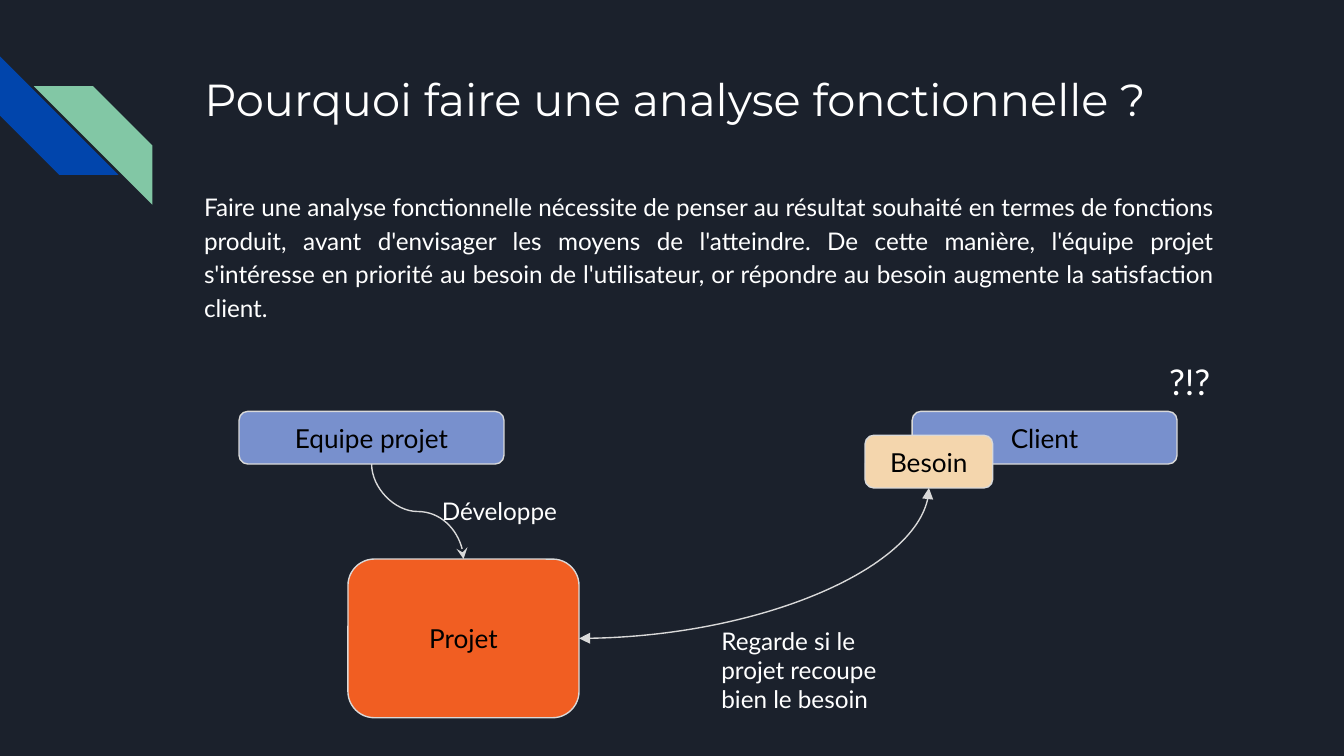
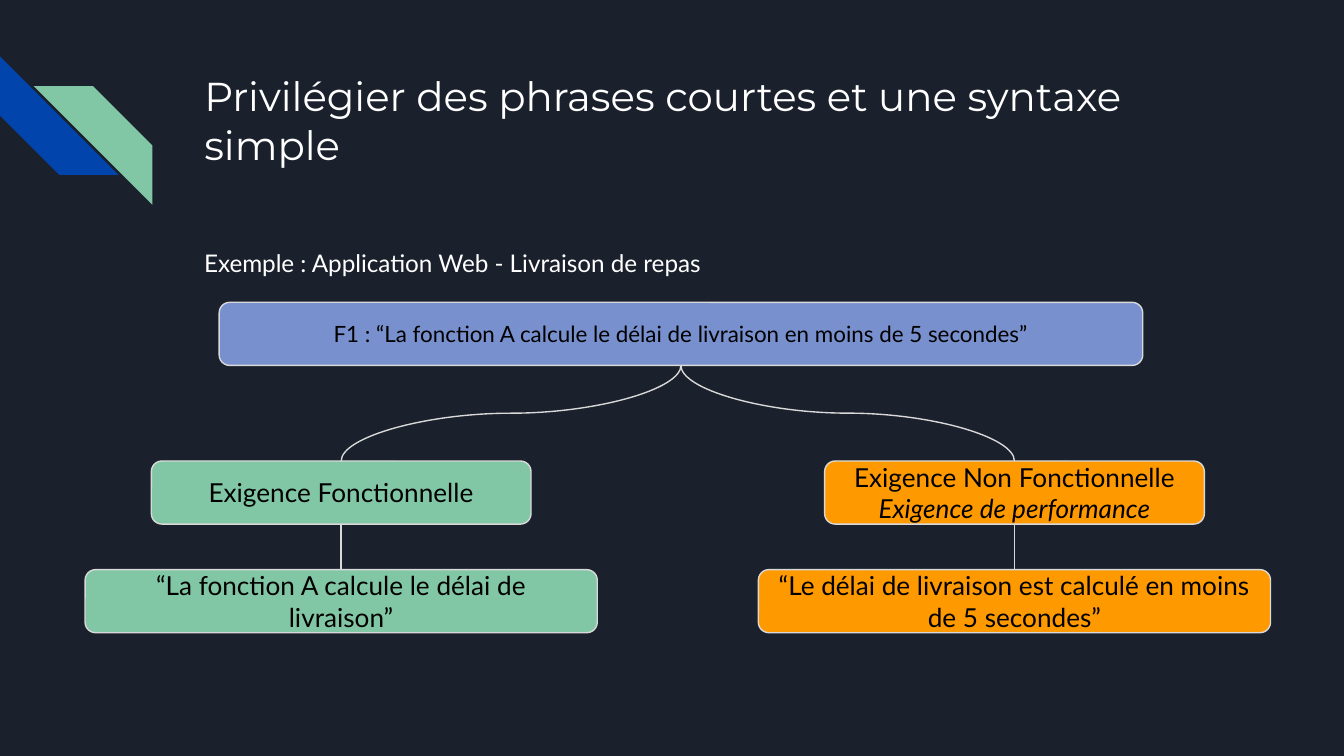
"""Build two slides on functional analysis: why to do it and how to phrase it."""
from lxml import etree
from pptx import Presentation
from pptx.dml.color import RGBColor
from pptx.enum.shapes import MSO_CONNECTOR, MSO_SHAPE
from pptx.enum.text import MSO_ANCHOR, MSO_AUTO_SIZE, PP_ALIGN
from pptx.oxml.ns import qn
from pptx.util import Pt

STRAIGHT, CURVE = MSO_CONNECTOR.STRAIGHT, MSO_CONNECTOR.CURVE
ROUNDED, STRIPE = MSO_SHAPE.ROUNDED_RECTANGLE, MSO_SHAPE.DIAGONAL_STRIPE
TOP, MIDDLE = MSO_ANCHOR.TOP, MSO_ANCHOR.MIDDLE
LEFT, CENTER, JUSTIFY = PP_ALIGN.LEFT, PP_ALIGN.CENTER, PP_ALIGN.JUSTIFY
NO_FIT = MSO_AUTO_SIZE.NONE

NIGHT = RGBColor(0x1B, 0x21, 0x2C)
WHITE = RGBColor(0xFF, 0xFF, 0xFF)
BLACK = RGBColor(0x00, 0x00, 0x00)
GREY = RGBColor(0xD9, 0xD9, 0xD9)
BLUE = RGBColor(0x01, 0x45, 0xAC)
GREEN = RGBColor(0x82, 0xC7, 0xA5)
PERIWINKLE = RGBColor(0x78, 0x90, 0xCD)
SAND = RGBColor(0xF4, 0xD6, 0xAD)
RED_ORANGE = RGBColor(0xF1, 0x5E, 0x22)
ORANGE = RGBColor(0xFF, 0x99, 0x00)

TITLE_FONT, BODY_FONT = "Montserrat", "Lato"
INSET, LINE_WIDTH = 7.2, 0.75
TEXT_LEFT, TEXT_WIDTH = 102.25, 554.5
STRIPE_SIZE = 63.5
BOTTOM_SITE, TOP_SITE = 2, 0

WHY_TITLE = "Pourquoi faire une analyse fonctionnelle ?"
WHY_BODY = (
    "Faire une analyse fonctionnelle nécessite de penser au résultat souhaité en termes "
    "de fonctions produit, avant d'envisager les moyens de l'atteindre. De cette manière, "
    "l'équipe projet s'intéresse en priorité au besoin de l'utilisateur, or répondre au "
    "besoin augmente la satisfaction client."
)
ACTORS = {
    "Equipe projet": (128.1, 220.4, 141.9, 28.2, PERIWINKLE),
    "Client": (488.7, 220.4, 141.9, 28.2, PERIWINKLE),
    "Besoin": (463.4, 233.2, 68.4, 28.2, SAND),
    "Projet": (186.4, 299.5, 123.8, 85, RED_ORANGE),
}
REMARKS = [
    ("Développe", (229.6, 258.5, 109.4, 17.3), 13),
    ("Regarde si le projet recoupe bien le besoin", (379.4, 328.3, 109.4, 62), 13),
    ("?!?", (619.2, 185.8, 49, 33.8), 19),
]

SYNTAX_TITLE = "Privilégier des phrases courtes et une syntaxe simple"
SYNTAX_BODY = "Exemple : Application Web - Livraison de repas"
FUNCTION = "F1 : “La fonction A calcule le délai de livraison en moins de 5 secondes”"
REQUIREMENTS = [
    (182.8, GREEN, "Exigence Fonctionnelle", "“La fonction A calcule le délai de livraison”"),
    (543.5, ORANGE, "Exigence Non Fonctionnelle\nExigence de performance",
     "“Le délai de livraison est calculé en moins de 5 secondes”"),
]
ROW_HEIGHT = 33.8
KIND_TOP, KIND_WIDTH = 247, 203.4
PHRASE_TOP, PHRASE_WIDTH = 305.2, 274.4


def write(shape, text, size, color, align=LEFT, anchor=TOP, font=BODY_FONT):
    frame = shape.text_frame
    frame.text = text
    frame.word_wrap = True
    frame.auto_size = NO_FIT
    frame.vertical_anchor = anchor
    frame.margin_left = frame.margin_right = Pt(INSET)
    frame.margin_top = frame.margin_bottom = Pt(INSET)
    for paragraph in frame.paragraphs:
        paragraph.alignment = align
        for run in paragraph.runs:
            run.font.size = Pt(size)
            run.font.name = font
            run.font.color.rgb = color


def add_text(slide, text, area, size, align=LEFT):
    label = slide.shapes.add_textbox(*map(Pt, area))
    write(label, text, size, WHITE, align)
    return label


def add_body(slide, text, top, height, align=LEFT):
    body = add_text(slide, text, (TEXT_LEFT, top, TEXT_WIDTH, height), 13, align)
    body.text_frame.paragraphs[0].line_spacing = 1.15
    body.text_frame.paragraphs[0].space_after = Pt(12)


def add_box(slide, text, left, top, width, height, fill, size=14):
    box = slide.shapes.add_shape(ROUNDED, *map(Pt, (left, top, width, height)))
    box.shadow.inherit = False
    box.fill.solid()
    box.fill.fore_color.rgb = fill
    box.line.color.rgb = GREY
    box.line.width = Pt(LINE_WIDTH)
    write(box, text, size, BLACK, CENTER, MIDDLE)
    return box


def add_stripe(slide, left, top, fill):
    stripe = slide.shapes.add_shape(STRIPE, *map(Pt, (left, top, STRIPE_SIZE, STRIPE_SIZE)))
    stripe.shadow.inherit = False
    stripe.fill.solid()
    stripe.fill.fore_color.rgb = fill
    stripe.line.fill.background()
    return stripe


def add_line(slide, kind, start, end, head=None, tail=None):
    link = slide.shapes.add_connector(kind, *map(Pt, (*start, *end)))
    link.line.color.rgb = GREY
    link.line.width = Pt(LINE_WIDTH)
    outline = link.line._get_or_add_ln()
    for tag, arrow in (("a:headEnd", head), ("a:tailEnd", tail)):
        if arrow:
            etree.SubElement(outline, qn(tag)).set("type", arrow)
    etree.SubElement(link._element.spPr, qn("a:effectLst"))
    return link


def add_curve(slide, start, end, rotation, **arrows):
    (x1, y1), (x2, y2) = start, end
    middle_x, middle_y = (x1 + x2) / 2, (y1 + y2) / 2
    dx, dy = x1 - middle_x, y1 - middle_y
    dx, dy = {90: (dy, -dx), 180: (-dx, -dy), 270: (-dy, dx)}[rotation]
    curve = add_line(slide, CURVE, (middle_x + dx, middle_y + dy),
                     (middle_x - dx, middle_y - dy), **arrows)
    curve._element.spPr.find(qn("a:xfrm")).set("rot", str(rotation * 60000))
    return curve


def side_middles(area):
    left, top, width, height = area[:4]
    return {
        "top": (left + width / 2, top),
        "bottom": (left + width / 2, top + height),
        "right": (left + width, top + height / 2),
    }


def add_slide(prs, title, size):
    slide = prs.slides.add_slide(prs.slide_layouts[5])
    add_stripe(slide, 0, 30.2, BLUE).rotation = 270
    mirrored = add_stripe(slide, 18.2, 46.2, GREEN)
    mirrored._element.spPr.find(qn("a:xfrm")).set("flipH", "1")
    heading = slide.shapes.title
    heading.left, heading.top = Pt(TEXT_LEFT), Pt(31)
    heading.width, heading.height = Pt(TEXT_WIDTH), Pt(72)
    write(heading, title, size, WHITE, font=TITLE_FONT)
    return slide


def build_why(prs):
    slide = add_slide(prs, WHY_TITLE, 24)
    add_body(slide, WHY_BODY, 93.6, 90.7, JUSTIFY)
    for name, area in ACTORS.items():
        add_box(slide, name, *area)
    team, need, project = (side_middles(ACTORS[name])
                           for name in ("Equipe projet", "Besoin", "Projet"))
    add_curve(slide, team["bottom"], project["top"], 270, tail="stealth")
    check = add_curve(slide, project["right"], need["bottom"], 180,
                      head="triangle", tail="triangle")
    check._element.spPr.find(qn("a:prstGeom")).set("prst", "curvedConnector2")
    for text, area, size in REMARKS:
        add_text(slide, text, area, size)


def build_syntax(prs):
    slide = add_slide(prs, SYNTAX_TITLE, 21.6)
    add_body(slide, SYNTAX_BODY, 123.3, 33.8)
    function_area = (117.4, 162, 494.8, ROW_HEIGHT)
    add_box(slide, FUNCTION, *function_area, PERIWINKLE, 12)
    origin = side_middles(function_area)["bottom"]
    for center, fill, kind, phrase in REQUIREMENTS:
        kind_box = add_box(slide, kind, center - KIND_WIDTH / 2, KIND_TOP,
                           KIND_WIDTH, ROW_HEIGHT, fill)
        for paragraph in kind_box.text_frame.paragraphs[1:]:
            paragraph.runs[0].font.italic = True
        phrase_box = add_box(slide, phrase, center - PHRASE_WIDTH / 2, PHRASE_TOP,
                             PHRASE_WIDTH, ROW_HEIGHT, fill)
        add_curve(slide, origin, (center, KIND_TOP), 90 if center < origin[0] else 270)
        link = add_line(slide, STRAIGHT, (center, KIND_TOP + ROW_HEIGHT), (center, PHRASE_TOP))
        link.begin_connect(kind_box, BOTTOM_SITE)
        link.end_connect(phrase_box, TOP_SITE)


def main():
    prs = Presentation()
    prs.slide_width, prs.slide_height = Pt(720), Pt(405)
    background = prs.slide_master.background.fill
    background.solid()
    background.fore_color.rgb = NIGHT
    build_why(prs)
    build_syntax(prs)
    prs.save("out.pptx")


if __name__ == "__main__":
    main()
